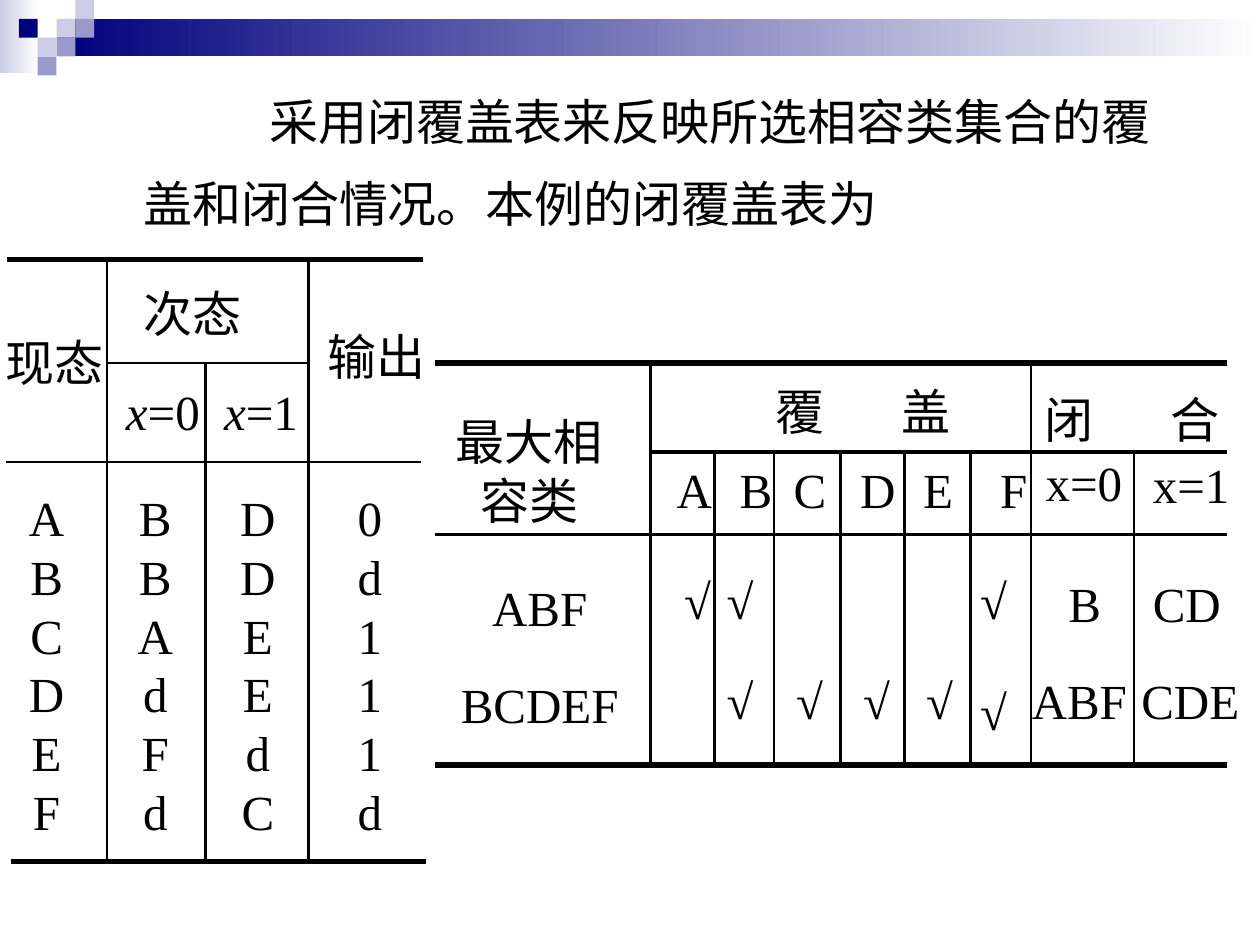
from lxml import etree
from pptx import Presentation
from pptx.dml.color import RGBColor
from pptx.enum.shapes import MSO_CONNECTOR, MSO_SHAPE
from pptx.enum.text import MSO_AUTO_SIZE, PP_ALIGN
from pptx.oxml.ns import qn
from pptx.util import Cm, Pt

RECT = MSO_SHAPE.RECTANGLE
STRAIGHT = MSO_CONNECTOR.STRAIGHT
FIT = MSO_AUTO_SIZE.SHAPE_TO_FIT_TEXT
LEFT, CENTER = PP_ALIGN.LEFT, PP_ALIGN.CENTER

BLACK = RGBColor(0x00, 0x00, 0x00)
WHITE = RGBColor(0xFF, 0xFF, 0xFF)
NAVY = RGBColor(0x00, 0x00, 0x7D)
LILAC = RGBColor(0xCC, 0xCC, 0xE6)
VIOLET = RGBColor(0x99, 0x99, 0xCC)

ROW = 1.45    # height of a one-line box
CELL = 0.89   # width of a one-letter box


class Deck:
    font, size, tab = "Times New Roman", Pt(28), Cm(2.54)

    def __init__(self, prs):
        self.s = prs.slides.add_slide(prs.slide_layouts[6])

    def rect(self, x, y, w, h, color, fade_to=None):
        sp = self.s.shapes.add_shape(RECT, Cm(x), Cm(y), Cm(w), Cm(h))
        sp.shadow.inherit = False
        sp.line.fill.background()
        if fade_to is None:
            sp.fill.solid()
            sp.fill.fore_color.rgb = color
        else:
            sp.fill.gradient()
            sp.fill.gradient_angle = 0
            for stop, rgb in zip(sp.fill.gradient_stops, (color, fade_to)):
                stop.color.rgb = rgb

    def line(self, x1, y1, x2, y2, width=1.5):
        ln = self.s.shapes.add_connector(STRAIGHT, Cm(x1), Cm(y1), Cm(x2), Cm(y2))
        ln.line.color.rgb = BLACK
        ln.line.width = Pt(width)
        etree.SubElement(ln._element.spPr, qn("a:effectLst"))

    def text(self, x, y, w, h, paras, align=LEFT, spacing=None, gap=0):
        """Each paragraph is a string, or a pair whose first run is italic."""
        sp = self.s.shapes.add_textbox(Cm(x), Cm(y), Cm(w), Cm(h))
        tf = sp.text_frame
        tf.word_wrap = True
        tf.auto_size = FIT
        for i, para in enumerate(paras):
            p = tf.add_paragraph() if i else tf.paragraphs[0]
            p.alignment = align
            if spacing:
                p.line_spacing = spacing[i]
            if i and gap:
                p.space_before = Pt(gap)
            runs = (para,) if isinstance(para, str) else para
            if "\t" in runs[0]:
                self.tab_stop(p)
            for j, part in enumerate(runs):
                r = p.add_run()
                r.text = part
                r.font.name, r.font.size = self.font, self.size
                r.font.color.rgb = BLACK
                r.font.italic = len(runs) > 1 and j == 0

    def tab_stop(self, p):
        tabs = etree.SubElement(p._p.get_or_add_pPr(), qn("a:tabLst"))
        etree.SubElement(tabs, qn("a:tab"), pos=str(int(self.tab)), algn="l")


def header(d):
    d.rect(0, 0, 0.79, 1.47, LILAC, WHITE)
    d.rect(1.14, 0.38, 24.26, 0.76, NAVY, WHITE)
    side = 0.38
    for col, row, color in ((3, 1, LILAC), (4, 0, LILAC), (4, 1, VIOLET), (2, 2, LILAC),
                            (1, 1, NAVY), (3, 2, VIOLET), (2, 3, VIOLET)):
        d.rect(col * side, row * side, side, side, color)


def state_table(d):
    # Rules
    for x1, x2, y, width in ((0.15, 8.53, 5.23, 3), (0.23, 8.59, 17.37, 3),
                             (2.16, 6.22, 7.32, 1), (0.13, 8.48, 9.32, 1)):
        d.line(x1, y, x2, y, width)
    for x, top in ((2.16, 5.23), (4.14, 7.32), (6.22, 5.23)):
        d.line(x, top, x, 17.37)
    # Headings
    for x, y, label in ((-0.13, 6.58, "现态"), (2.64, 5.59, "次态"), (6.35, 6.45, "输出")):
        d.text(x, y, 2.6, ROW, [label])
    for x, value in ((2.29, "=0"), (4.27, "=1")):
        d.text(x, 7.56, 2.15, ROW, [("x", value)])
    # One box per column of states
    for x, w, states in ((0.33, 1.22, "ABCDEF"), (2.52, 1.22, "BBAdFd"),
                         (4.59, 1.22, "DDEEdC"), (6.96, 0.99, "0d111d")):
        d.text(x, 9.7, w, 7.37, states, CENTER)


def cover_table(d):
    # Rules
    left, right = 8.76, 24.74
    for x, y, width in ((left, 7.32, 3), (left, 15.42, 3), (13.11, 9.12, 2.25),
                        (left, 10.77, 1.5)):
        d.line(x, y, right, y, width)
    for x in (13.11, 20.78):
        d.line(x, 7.32, x, 15.45)
    for x in (14.4, 15.6, 16.94, 18.24, 19.56, 22.86):
        d.line(x, 9.14, x, 15.45)
    # Headings
    d.text(8.84, 8.18, 3.65, 2.64, ["最大相", "容类"], CENTER)
    d.text(15.39, 7.57, 4.2, ROW, ["覆\t盖"])
    d.text(20.8, 7.72, 4.2, ROW, ["闭\t合"])
    for x, y, label in ((20.83, 8.99, "x=0"), (22.99, 9.04, "x=1")):
        d.text(x, y, 2.2, ROW, [label])
    for x, state in zip((13.39, 14.66, 15.75, 17.09, 18.36, 19.91), "ABCDEF"):
        d.text(x, 9.14, CELL, ROW, [state])
    # Compatible classes
    d.text(8.94, 11.51, 3.88, 3.35, ["ABF", "BCDEF"], CENTER, gap=22)
    # Cover marks
    d.text(13.54, 11.38, 1.04, ROW, ["√"])
    d.text(14.4, 11.61, CELL, 3.23, "√√", spacing=(0.8, 1.7))
    for x in (15.8, 17.15, 18.42):
        d.text(x, 13.39, CELL, ROW, ["√"])
    d.text(19.51, 11.25, CELL, 3.81, "√√", spacing=(1.1, 1.9))
    # Closure
    for x, y, w, label in ((21.29, 11.43, CELL, "B"), (22.96, 11.43, 1.93, "CD"),
                           (20.55, 13.39, 2.46, "ABF"), (22.76, 13.39, 2.64, "CDE")):
        d.text(x, y, w, ROW, [label], CENTER if label == "CD" else LEFT)


def main():
    prs = Presentation()
    prs.slide_width, prs.slide_height = Cm(25.4), Cm(19.05)
    d = Deck(prs)
    header(d)
    d.text(2.64, 1.24, 20.85, 3.58,
           ["\t采用闭覆盖表来反映所选相容类集合的覆盖和闭合情况。本例的闭覆盖表为"],
           spacing=(1.4,))
    cover_table(d)
    state_table(d)
    prs.save("out.pptx")


if __name__ == "__main__":
    main()
